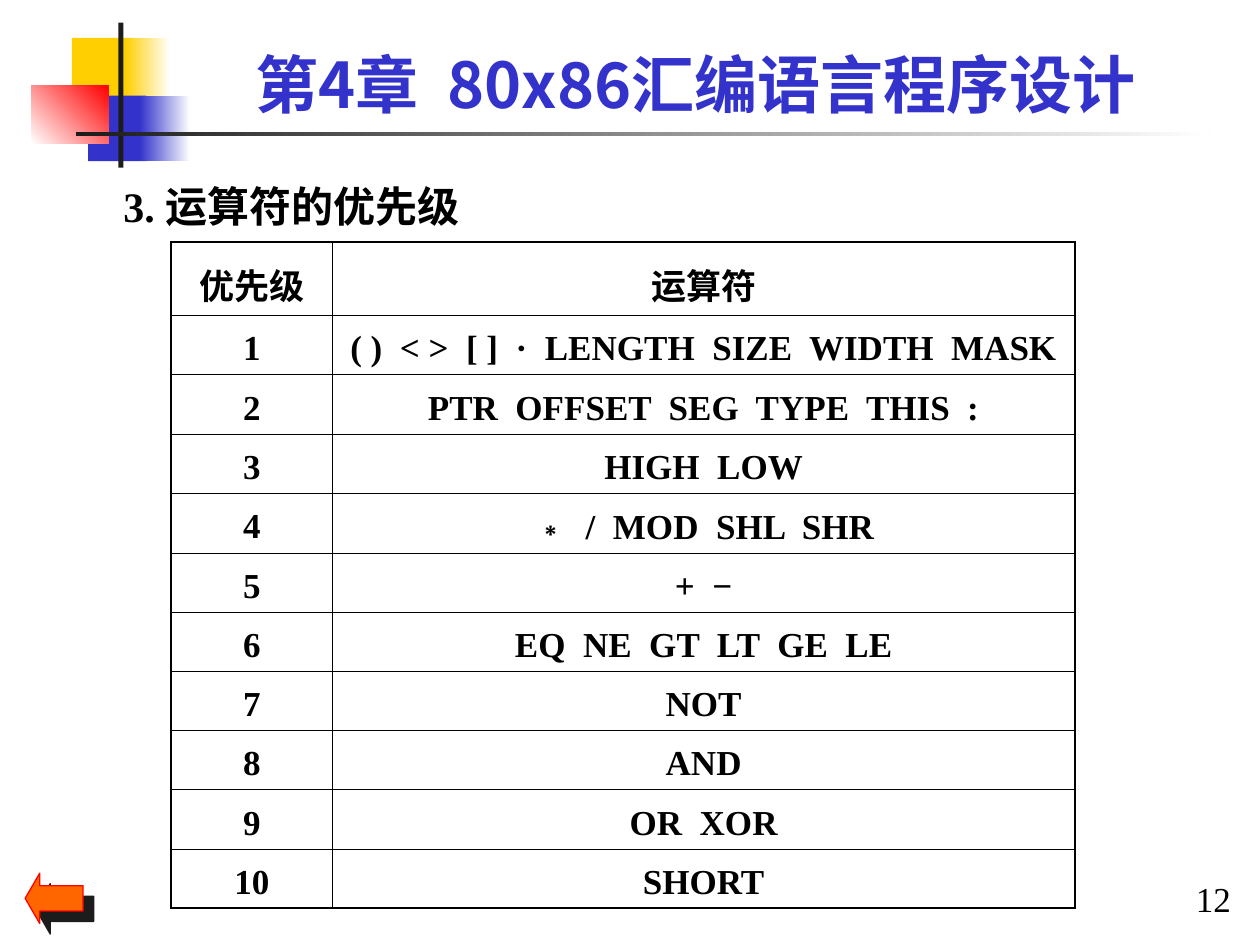
from lxml import etree
from pptx import Presentation
from pptx import util as u
from pptx.dml.color import RGBColor
from pptx.enum import shapes, text
from pptx.oxml import parse_xml
from pptx.oxml.ns import qn

A = 'xmlns:a="http://schemas.openxmlformats.org/drawingml/2006/main"'
SERIF, SANS = "Times New Roman", "Noto Sans CJK SC"


def rgb(color):
    return RGBColor.from_string(color)


def add_run(p, words, size, font=SERIF, color="000000", bold=True):
    r = p.add_run()
    r.text = words
    r.font.size = u.Pt(size)
    r.font.name = font
    r.font.bold = bold
    r.font.color.rgb = rgb(color)
    if any("\u4e00" <= c <= "\u9fff" for c in words):
        etree.SubElement(r.font._element, qn("a:ea"), typeface=SANS)


prs = Presentation()
prs.slide_width, prs.slide_height = u.Inches(10), u.Inches(7.5)
s = prs.slides.add_slide(prs.slide_layouts[1])

decor = [
    (0.57, 0.3, 0.48, 0.52, ["FFCF01"], 0),
    (0.99, 0.3, 0.36, 0.52, ["FFCF01", "FFFFFF"], 0),
    (0.7, 0.76, 0.46, 0.52, ["3333CC"], 0),
    (1.11, 0.76, 0.4, 0.52, ["3333CC", "FFFFFF"], 0),
    (0.25, 0.68, 0.61, 0.46, ["FFFFFF", "FF0000"], 45),
    (0.94, 0.18, 0.04, 1.15, ["1C1C1C"], 0),
    (0.6, 1.05, 9, 0.03, ["1C1C1C", "FFFFFF"], 0),
]
for *box, colors, angle in decor:
    sp = s.shapes.add_shape(shapes.MSO_SHAPE.RECTANGLE, *map(u.Inches, box))
    sp.shadow.inherit = False
    sp.line.fill.background()
    if len(colors) == 1:
        sp.fill.solid()
        sp.fill.fore_color.rgb = rgb(colors[0])
    else:
        sp.fill.gradient()
        sp.fill.gradient_angle = angle
        for stop, color in zip(sp.fill.gradient_stops, colors):
            stop.color.rgb = rgb(color)

arrow = s.shapes.add_shape(shapes.MSO_SHAPE.LEFT_ARROW, *map(u.Inches, (0.2, 6.93, 0.46, 0.4)))
arrow.adjustments[0], arrow.adjustments[1] = 0.5, 0.29
arrow.fill.solid()
arrow.fill.fore_color.rgb = rgb("FF6600")
arrow.line.color.rgb = rgb("FF0000")
arrow.line.width = u.Pt(0.75)
arrow._element.spPr.append(parse_xml(
    f'<a:effectLst {A}><a:outerShdw dist="{u.Pt(8.5)}" dir="2700000" algn="ctr" rotWithShape="0">'
    '<a:srgbClr val="1C1C1C"/></a:outerShdw></a:effectLst>'))

title, body = s.shapes.title, s.placeholders[1]
number = s.shapes.add_textbox(0, 0, 0, 0)
frames = [
    (title, (1.26, 0.36, 8.52, 0.6), text.MSO_ANCHOR.MIDDLE, True),
    (body, (0.98, 1.35, 8.6, 0.48), text.MSO_ANCHOR.TOP, True),
    (number, (9.43, 6.96, 0.4, 0.34), text.MSO_ANCHOR.MIDDLE, False),
]
for sp, box, anchor, wrap in frames:
    sp.left, sp.top, sp.width, sp.height = map(u.Inches, box)
    tf = sp.text_frame
    tf.margin_left = tf.margin_top = tf.margin_right = tf.margin_bottom = 0
    tf.vertical_anchor = anchor
    tf.word_wrap = wrap
    tf.auto_size = text.MSO_AUTO_SIZE.NONE

p = title.text_frame.paragraphs[0]
p.alignment = text.PP_ALIGN.CENTER
add_run(p, "第4章  80x86汇编语言程序设计", 36, SANS, "3333CC")

p = body.text_frame.paragraphs[0]
pPr = p._p.get_or_add_pPr()
pPr.set("marL", str(u.Inches(0.19)))
pPr.set("indent", str(u.Inches(-0.19)))
etree.SubElement(pPr, qn("a:buNone"))
p.line_spacing = 1.2
p.space_before = u.Pt(0)
add_run(p, "3. 运算符的优先级", 24)

p = number.text_frame.paragraphs[0]
p.alignment = text.PP_ALIGN.CENTER
add_run(p, "12", 20, bold=False)

operators = [
    "( )  < >  [ ]  ·  LENGTH  SIZE  WIDTH  MASK",
    "PTR  OFFSET  SEG  TYPE  THIS  :",
    "HIGH  LOW",
    "∗  /  MOD  SHL  SHR",
    "+  −",
    "EQ  NE  GT  LT  GE  LE",
    "NOT",
    "AND",
    "OR  XOR",
    "SHORT",
]
rows = [("优先级", "运算符")] + [(str(i), ops) for i, ops in enumerate(operators, 1)]
last = len(rows) - 1
table = s.shapes.add_table(len(rows), 2, *map(u.Inches, (1.36, 1.92, 7.17, 4.92))).table
table.first_row = table.horz_banding = False
table.columns[0].width, table.columns[1].width = u.Inches(1.28), u.Inches(5.89)
for i, row in enumerate(rows):
    table.rows[i].height = u.Inches(0.45)
    for j, words in enumerate(row):
        cell = table.cell(i, j)
        outer = {"L": j == 0, "R": j == 1, "T": i == 0, "B": i == last}
        for side, thick in outer.items():
            cell._tc.get_or_add_tcPr().append(parse_xml(
                f'<a:ln{side} {A} w="{u.Pt(1.47 if thick else 0.45)}"><a:solidFill>'
                f'<a:srgbClr val="000000"/></a:solidFill></a:ln{side}>'))
        cell.fill.background()
        cell.vertical_anchor = text.MSO_ANCHOR.MIDDLE
        p = cell.text_frame.paragraphs[0]
        p.alignment = text.PP_ALIGN.CENTER
        p.line_spacing = 1.2
        if words.startswith("∗"):
            add_run(p, "∗", 20, "Arial")
            words = words[1:]
        add_run(p, words, 20)

prs.save("out.pptx")
